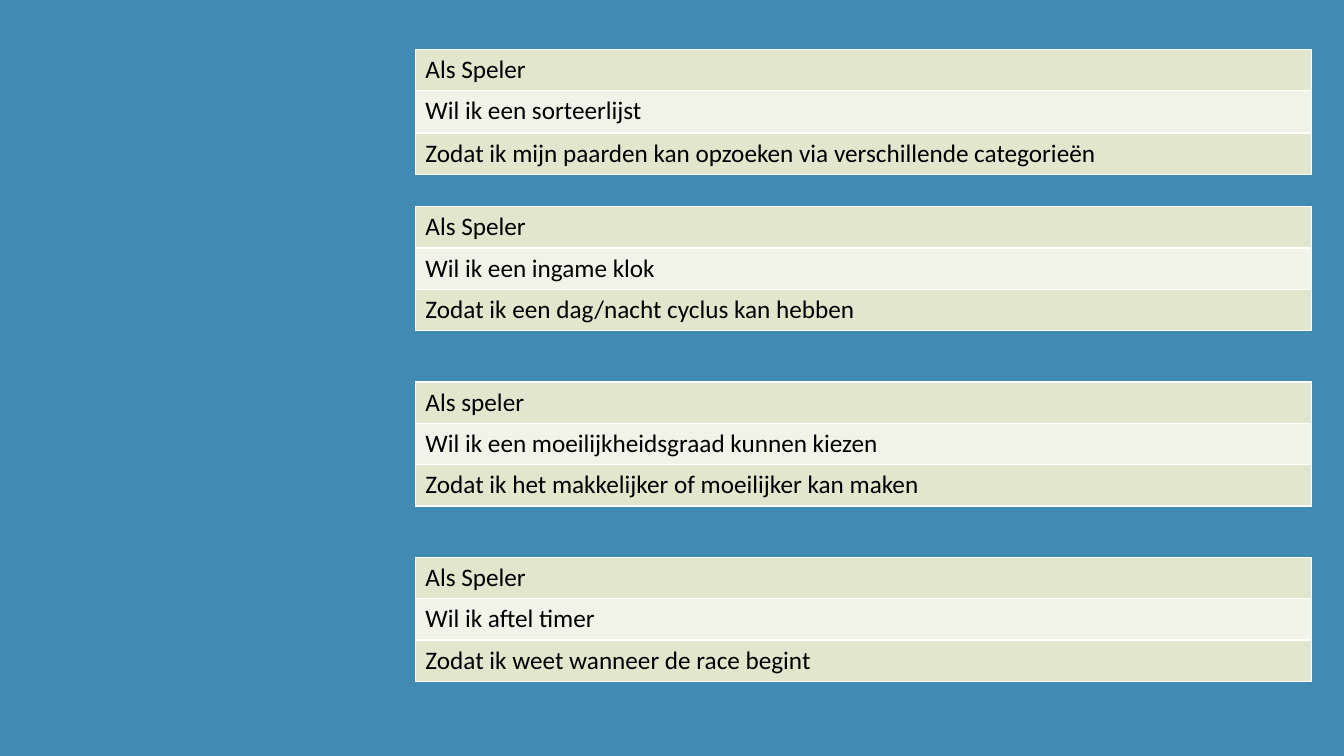
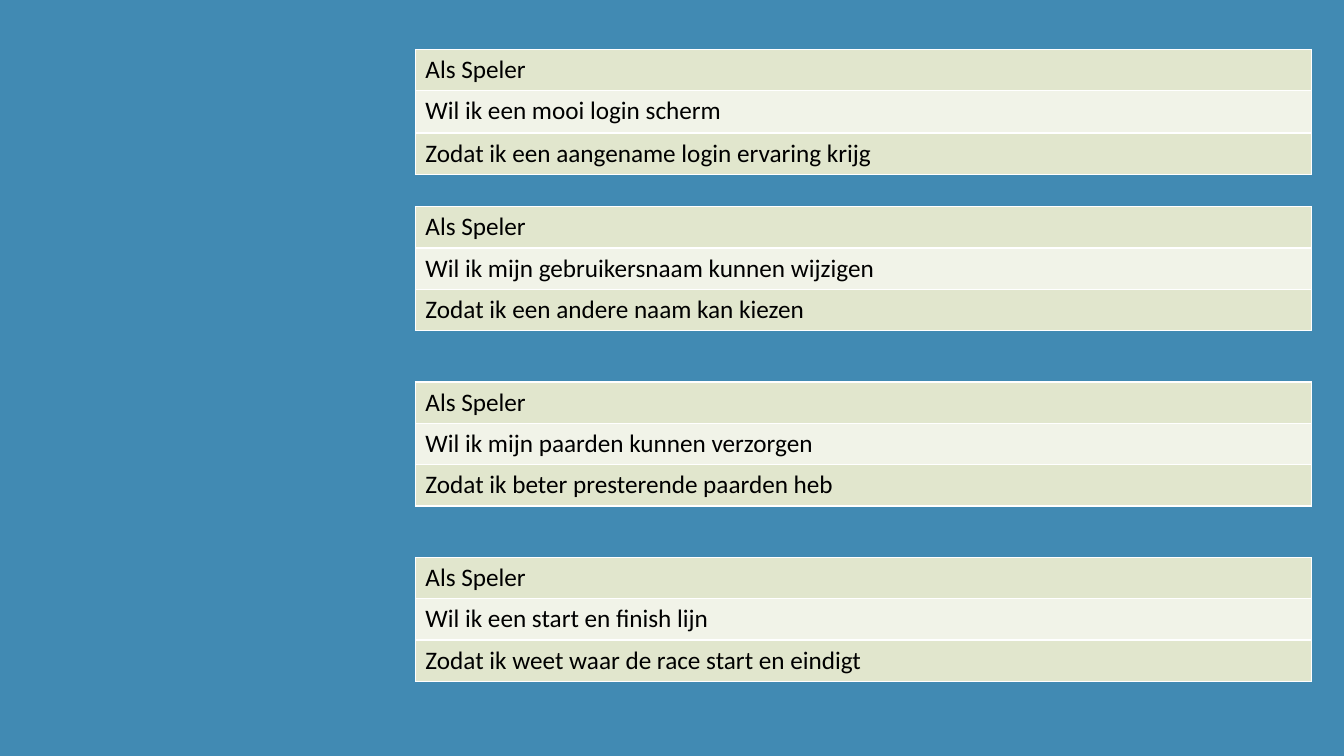
from dataclasses import dataclass

from lxml.etree import SubElement
from pptx import Presentation
from pptx.dml.color import RGBColor
from pptx.enum.text import MSO_ANCHOR
from pptx.oxml.ns import qn
from pptx.util import Inches, Pt


@dataclass(frozen=True)
class Theme:
    """Colours, type and line sizes shared by all slides."""
    background: str = "418AB3"
    bands: tuple = ("E1E6CD", "F1F3E8")
    border: str = "FFFFFF"
    text: str = "000000"
    font: str = "Calibri"
    size: int = 18
    border_width: int = 1


class Deck:
    """Holds the presentation, its style and the current slide."""

    def __init__(self, theme):
        """Start a widescreen deck with the theme background on its master."""
        self.theme = theme
        self.prs = Presentation()
        self.prs.slide_width = Inches(13.33)
        self.prs.slide_height = Inches(7.5)
        fill = self.prs.slide_master.background.fill
        fill.solid()
        fill.fore_color.rgb = RGBColor.from_string(theme.background)
        self.s = None

    def add_slide(self):
        """Add a blank slide and make it current."""
        self.s = self.prs.slides.add_slide(self.prs.slide_layouts[6])

    def add_story(self, lines, left, top, width, row_heights):
        """Add a one-column banded table with one line per row."""
        frame = self.s.shapes.add_table(
            len(lines), 1, Inches(left), Inches(top),
            Inches(width), Inches(sum(row_heights)))
        table = frame.table
        table.first_row = False
        table.horz_banding = False
        for i, (line, height) in enumerate(zip(lines, row_heights)):
            table.rows[i].height = Inches(height)
            band = self.theme.bands[i % len(self.theme.bands)]
            self.style_cell(table.cell(i, 0), line, band)

    def style_cell(self, cell, text, band):
        """Write the text of a cell and set its borders and fill."""
        self.add_borders(cell)
        cell.fill.solid()
        cell.fill.fore_color.rgb = RGBColor.from_string(band)
        cell.vertical_anchor = MSO_ANCHOR.TOP
        r = cell.text_frame.paragraphs[0].add_run()
        r.text = text
        r.font.name = self.theme.font
        r.font.size = Pt(self.theme.size)
        r.font.bold = False
        r.font.color.rgb = RGBColor.from_string(self.theme.text)

    def add_borders(self, cell):
        """Draw the theme border on all four sides of a cell."""
        tc_pr = cell._tc.get_or_add_tcPr()
        for side in ("a:lnL", "a:lnR", "a:lnT", "a:lnB"):
            ln = SubElement(tc_pr, qn(side), w=str(Pt(self.theme.border_width)))
            fill = SubElement(ln, qn("a:solidFill"))
            SubElement(fill, qn("a:srgbClr"), val=self.theme.border)


STORY_LEFT, STORY_WIDTH = 4.12, 8.89
STORY_TOPS = (0.49, 2.05, 3.79, 5.53)
FIRST_ROWS, OTHER_ROWS = (0.41, 0.42, 0.41), (0.41, 0.41, 0.41)

SLIDES = (
    (
        ("Als Speler", "Wil ik een sorteerlijst",
         "Zodat ik mijn paarden kan opzoeken via verschillende categorieën"),
        ("Als Speler", "Wil ik een ingame klok",
         "Zodat ik een dag/nacht cyclus kan hebben"),
        ("Als speler", "Wil ik een moeilijkheidsgraad kunnen kiezen",
         "Zodat ik het makkelijker of moeilijker kan maken"),
        ("Als Speler", "Wil ik aftel timer",
         "Zodat ik weet wanneer de race begint"),
    ),
    (
        ("Als Speler", "Wil ik een mooi login scherm",
         "Zodat ik een aangename login ervaring krijg"),
        ("Als Speler", "Wil ik mijn gebruikersnaam kunnen wijzigen",
         "Zodat ik een andere naam kan kiezen"),
        ("Als Speler", "Wil ik mijn paarden kunnen verzorgen",
         "Zodat ik beter presterende paarden heb"),
        ("Als Speler", "Wil ik een start en finish lijn",
         "Zodat ik weet waar de race start en eindigt"),
    ),
)


def main():
    """Build one slide of user stories per entry and save the deck."""
    deck = Deck(Theme())
    for stories in SLIDES:
        deck.add_slide()
        for i, (lines, top) in enumerate(zip(stories, STORY_TOPS)):
            rows = OTHER_ROWS if i else FIRST_ROWS
            deck.add_story(lines, STORY_LEFT, top, STORY_WIDTH, rows)
    deck.prs.save("out.pptx")


main()
